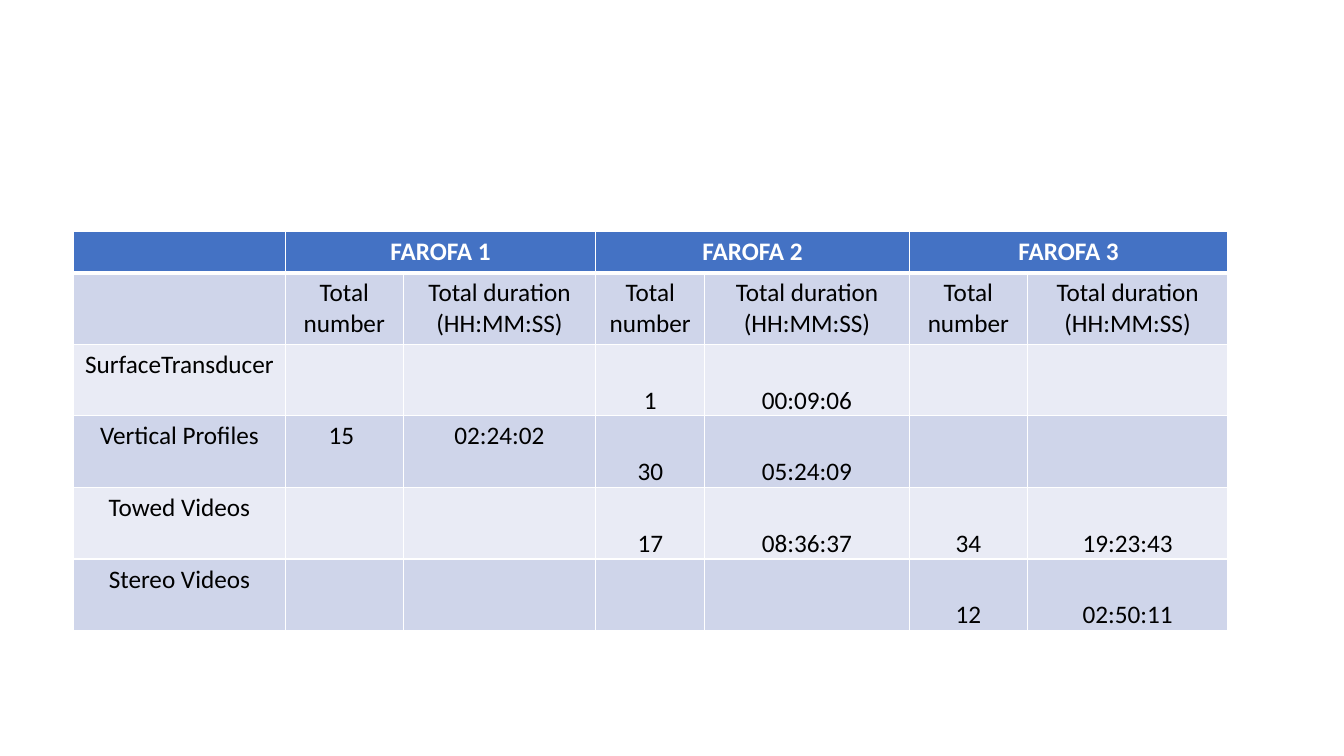
from lxml import etree
from pptx import Presentation
from pptx import util as u
from pptx.dml.color import RGBColor
from pptx.enum import text
from pptx.oxml.ns import qn

CAMPAIGNS = ["FAROFA 1", "FAROFA 2", "FAROFA 3"]
MEASURES = ["Total number", "Total duration\n(HH:MM:SS)"]
SURVEYS = [
    ("SurfaceTransducer", "", "", "1", "00:09:06", "", ""),
    ("Vertical Profiles", "15 ", "02:24:02", "30", "05:24:09", "", ""),
    ("Towed Videos", "", "", "17", "08:36:37", "34", "19:23:43"),
    ("Stereo Videos", "", "", "", "", "12", "02:50:11"),
]
THEME = {
    "font": "Calibri", "size": 18,
    "header": "4472C4", "bands": ["CFD5EA", "E9EBF5"],
    "light": "FFFFFF", "dark": "000000",
    "rule": 1, "header_rule": 3,
}
SLIDE_SIZE = (13.33, 7.5)
TABLE_ORIGIN = (0.73, 2.3)
COLUMN_WIDTHS = [2.1, 1.17, 1.91, 1.08, 2.03, 1.17, 1.99]
HEADER_HEIGHT, ROW_HEIGHT = 0.4, 0.71
FIRST_SURVEY_ROW, FIRST_LOW_COLUMN = 2, 3


def write(cell, content, color=THEME["dark"], bold=False, low=False):
    if low:
        cell.vertical_anchor = text.MSO_ANCHOR.BOTTOM
        cell.margin_left = cell.margin_right = cell.margin_top = u.Inches(0.01)
        cell.margin_bottom = 0
    cell.text = content
    for paragraph in cell.text_frame.paragraphs:
        paragraph.alignment = text.PP_ALIGN.CENTER
        paragraph.font.size = u.Pt(THEME["size"])
        for run in paragraph.runs:
            run.font.name = THEME["font"]
            run.font.size = u.Pt(THEME["size"])
            run.font.bold = bold
            run.font.color.rgb = RGBColor.from_string(color)


def draw_borders(cell, **widths):
    properties = cell._tc.get_or_add_tcPr()
    for side in "LRTB":
        width = widths.get(side, THEME["rule"])
        line = etree.SubElement(properties, qn(f"a:ln{side}"), w=str(u.Pt(width)))
        fill = etree.SubElement(line, qn("a:solidFill"))
        etree.SubElement(fill, qn("a:srgbClr"), val=THEME["light"])


def paint(cell, color):
    cell.fill.solid()
    cell.fill.fore_color.rgb = RGBColor.from_string(color)


presentation = Presentation()
presentation.slide_width, presentation.slide_height = map(u.Inches, SLIDE_SIZE)
slide = presentation.slides.add_slide(presentation.slide_layouts[6])

header = [""] + [name for campaign in CAMPAIGNS for name in (campaign, "")]
rows = [header, [""] + MEASURES * len(CAMPAIGNS), *SURVEYS]
heights = [HEADER_HEIGHT] + [ROW_HEIGHT] * (len(rows) - 1)
table = slide.shapes.add_table(
    len(rows), len(COLUMN_WIDTHS), *map(u.Inches, TABLE_ORIGIN),
    u.Inches(sum(COLUMN_WIDTHS)), u.Inches(sum(heights))).table
for column, width in zip(table.columns, COLUMN_WIDTHS):
    column.width = u.Inches(width)
for row, height in zip(table.rows, heights):
    row.height = u.Inches(height)

for row_index, values in enumerate(rows):
    is_header = row_index == 0
    for column_index, value in enumerate(values):
        cell = table.cell(row_index, column_index)
        low = (row_index >= FIRST_SURVEY_ROW
               and column_index >= FIRST_LOW_COLUMN and value != "")
        if is_header:
            draw_borders(cell, B=THEME["header_rule"])
            paint(cell, THEME["header"])
        else:
            draw_borders(cell, T=THEME["header_rule"] if row_index == 1 else THEME["rule"])
            paint(cell, THEME["bands"][(row_index - 1) % 2])
        write(cell, value, color=THEME["light" if is_header else "dark"],
              bold=is_header, low=low)

for campaign_index in range(len(CAMPAIGNS)):
    first = 1 + campaign_index * len(MEASURES)
    table.cell(0, first).merge(table.cell(0, first + len(MEASURES) - 1))

presentation.save("out.pptx")
